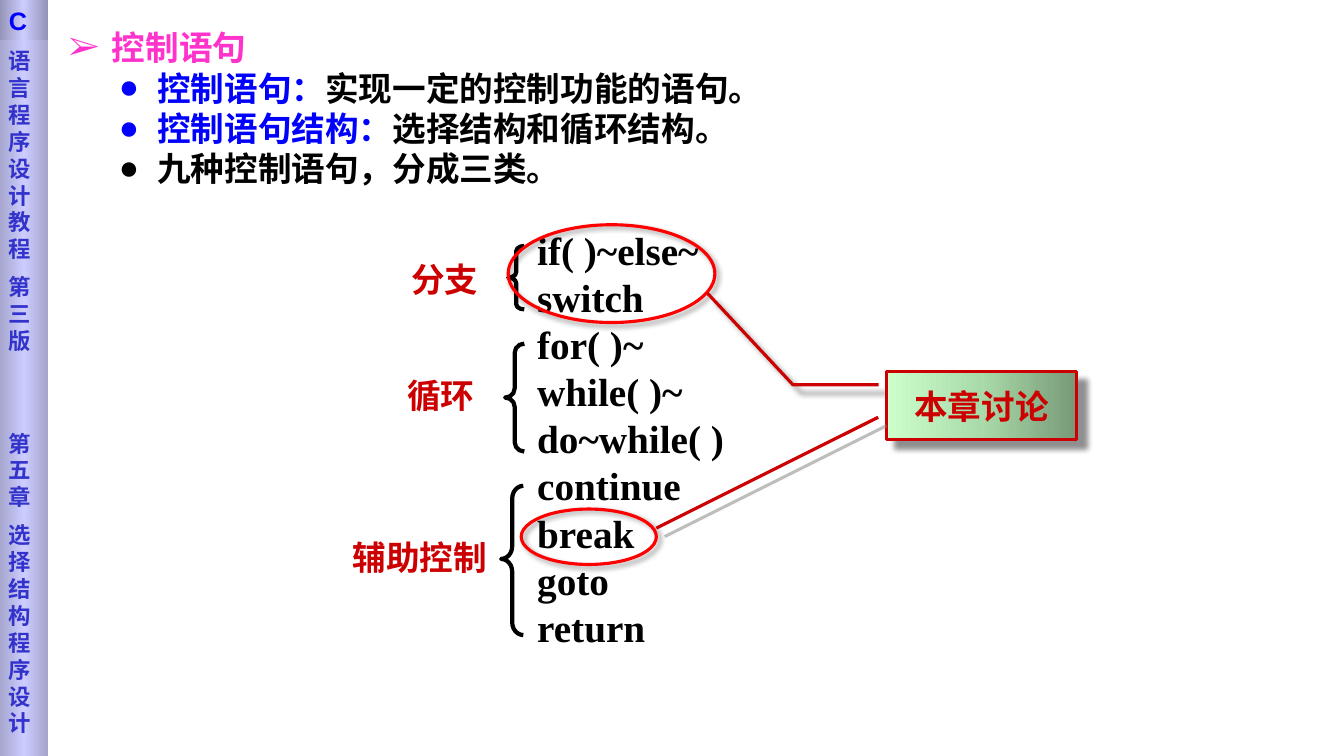
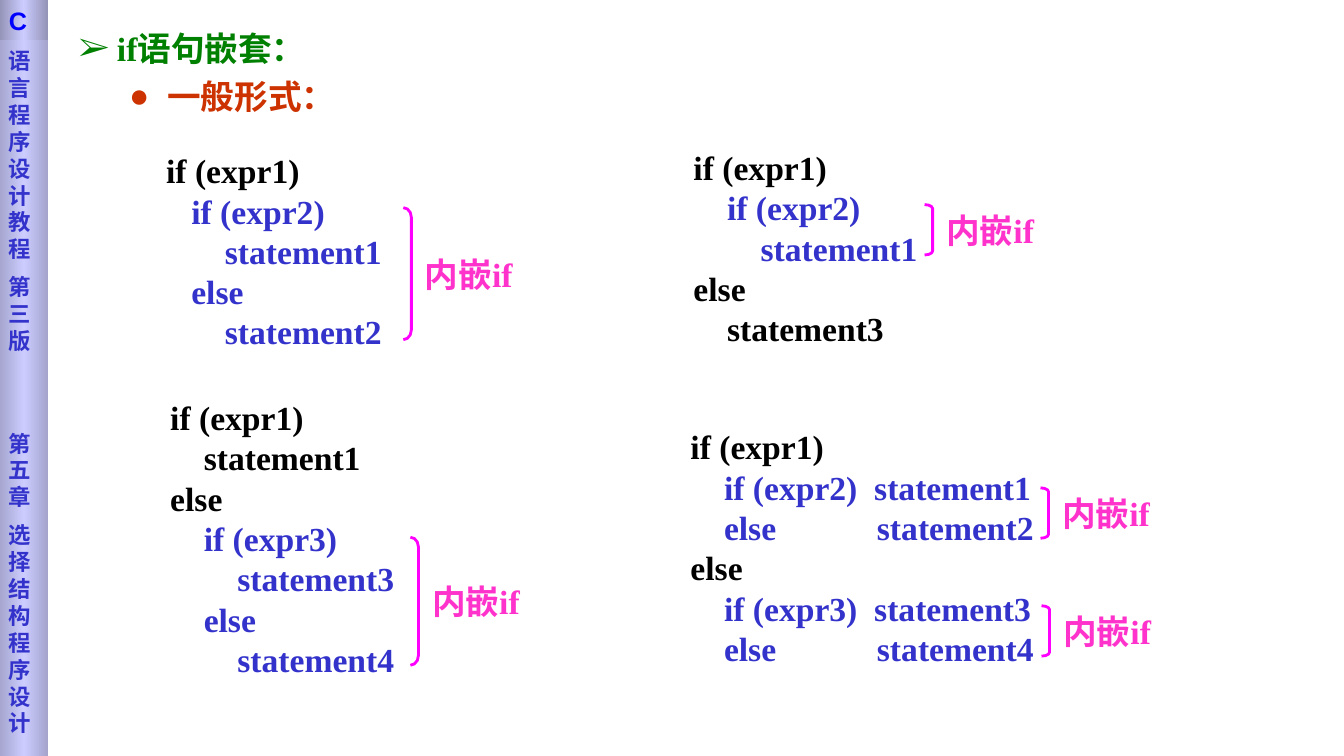
from lxml import etree
from pptx import Presentation
from pptx import util as u
from pptx.dml.color import RGBColor
from pptx.enum import shapes as kinds, text as styles
from pptx.oxml.ns import qn

BLACK = RGBColor(0x00, 0x00, 0x00)
GRAY = RGBColor(0x80, 0x80, 0x80)
BLUE = RGBColor(0x00, 0x00, 0xFF)
INDIGO = RGBColor(0x33, 0x33, 0xCC)
PINK = RGBColor(0xFF, 0x33, 0xCC)
MAGENTA = RGBColor(0xFF, 0x00, 0xFF)
RED = RGBColor(0xFF, 0x00, 0x00)
DARK_RED = RGBColor(0xCC, 0x00, 0x00)
RUST = RGBColor(0xCC, 0x33, 0x00)
GREEN = RGBColor(0x00, 0x80, 0x00)
LAVENDER = RGBColor(0xCC, 0xCC, 0xFF)
BAND_EDGE = RGBColor(0xA4, 0xA4, 0xCD)
CAP_EDGE = RGBColor(0x92, 0x92, 0xB6)
CALLOUT_COLORS = [RGBColor(0xCC, 0xFF, 0xCC), RGBColor(0xA9, 0xDA, 0xA9), RGBColor(0x77, 0x99, 0x77)]

SERIF, SANS, BAND_FONT, CJK = "Times New Roman", "Arial", "DejaVu Sans", "Noto Sans CJK SC"
WIDTH, HEIGHT = 13.33, 7.5
BAND_LEFT, BAND_WIDTH, CAP_HEIGHT = -0.01, 0.49, 0.4
LINE_RATIO = 1.2
SHAPE = kinds.MSO_SHAPE
BAND_TEXT = [("语言程序设计教程", 0), ("第三版", 8), ("第五章", 54), ("选择结构程序设计", 8)]

CONTROL = {
    "title": ("控制语句", PINK), "left": 0.58, "top": 0.22, "hang": 0.43, "step": 0.4,
    "list": [
        [("控制语句：", BLUE), ("实现一定的控制功能的语句。", BLACK)],
        [("控制语句结构：", BLUE), ("选择结构和循环结构。", BLACK)],
        [("九种控制语句，分成三类。", BLACK)],
    ],
}
KEYWORDS = ["if( )~else~", "switch", "for( )~", "while( )~", "do~while( )",
            "continue", "break", "goto", "return"]
GROUPS = [
    ("分支", (3.98, 2.52, 1, 0.51), (5.04, 2.44, 0.16, 0.63), (0.33, 0.5)),
    ("循环", (3.94, 3.67, 1, 0.51), (5.01, 3.41, 0.19, 1.07), (0.48, 0.5)),
    ("辅助控制", (3.4, 5.28, 1.65, 0.51), (4.97, 4.82, 0.22, 1.48), (0.57, 0.49)),
]
RINGS = [(5.04, 2.23, 2.05, 0.97), (5.17, 5.05, 1.34, 0.55)]
CALLOUT = ("本章讨论", (8.79, 3.69, 1.89, 0.67), (0.19, -0.04, 0.19, -0.49, -1.17, -0.94))
BREAK_LINE = (6.51, 5.24, 8.71, 4.14)

NESTING = {
    "title": ("if语句嵌套：", GREEN), "left": 0.68, "top": 0.23, "hang": 0.38, "step": 0.47,
    "list": [[("一般形式：", RUST)]],
}
CODE_BLOCKS = [
    {"at": (1.55, 1.44), "nested": range(1, 5), "brackets": [(4, 2.06, 1.31)],
     "lines": ["if (expr1)", "   if (expr2)", "       statement1", "   else", "       statement2"]},
    {"at": (6.78, 1.41), "nested": range(1, 3), "brackets": [(9.17, 2.03, 0.5)],
     "lines": ["if (expr1)", "    if (expr2)", "        statement1", "else", "    statement3"]},
    {"at": (1.59, 3.89), "nested": range(3, 7), "brackets": [(4.07, 5.33, 1.27)],
     "lines": ["if (expr1)", "    statement1", "else", "    if (expr3)", "        statement3",
               "    else", "        statement4"]},
    {"at": (6.75, 4.18), "nested": (1, 2, 4, 5), "brackets": [(10.32, 4.84, 0.5), (10.33, 6.01, 0.5)],
     "lines": ["if (expr1)", "    if (expr2)  statement1", "    else            statement2", "else",
               "    if (expr3)  statement3", "    else            statement4"]},
]


def inches(values):
    return [u.Inches(value) for value in values]


def apply(target, formats):
    for name, value in formats.items():
        setattr(target, name, value)


def add_bullet(paragraph, character, color, margin, hang):
    properties = paragraph._p.get_or_add_pPr()
    properties.set("marL", str(u.Inches(margin)))
    properties.set("indent", str(-u.Inches(hang)))
    holder = etree.SubElement(properties, qn("a:buClr"))
    etree.SubElement(holder, qn("a:srgbClr"), val=str(color))
    etree.SubElement(properties, qn("a:buFont"), typeface=SERIF)
    etree.SubElement(properties, qn("a:buChar"), char=character)


def write(shape, rows, size=24, font=SERIF, align=styles.PP_ALIGN.LEFT,
          anchor=styles.MSO_ANCHOR.TOP, bullet=None, spaces=None):
    frame = shape.text_frame
    apply(frame, {"word_wrap": True, "auto_size": styles.MSO_AUTO_SIZE.NONE, "vertical_anchor": anchor})
    for index, row in enumerate(rows):
        paragraph = frame.add_paragraph() if index else frame.paragraphs[0]
        apply(paragraph, {"alignment": align, "line_spacing": u.Pt(size * LINE_RATIO),
                          "space_before": u.Pt(spaces[index] if spaces else 0)})
        if bullet:
            character, margin, hang = bullet
            add_bullet(paragraph, character, row[0][1], margin, hang)
        for content, color in row:
            run = paragraph.add_run()
            run.text = content
            apply(run.font, {"size": u.Pt(size), "bold": True, "name": font})
            run.font.color.rgb = color
            etree.SubElement(run._r.get_or_add_rPr(), qn("a:ea"), typeface=CJK)


def add_text(slide, box, rows, **formats):
    shape = slide.shapes.add_textbox(*inches(box))
    write(shape, rows, **formats)


def add_shape(slide, kind, box, line=None, width=2.25, adjustments=()):
    shape = slide.shapes.add_shape(kind, *inches(box))
    shape.shadow.inherit = False
    shape.fill.background()
    for index, value in enumerate(adjustments):
        shape.adjustments[index] = value
    if line is None:
        shape.line.fill.background()
    else:
        shape.line.color.rgb = line
        shape.line.width = u.Pt(width)
    return shape


def fill_gradient(shape, colors):
    shape.fill.gradient()
    shape.fill.gradient_angle = 0
    stops = shape._element.spPr.find(".//" + qn("a:gsLst"))
    for stop in list(stops):
        stops.remove(stop)
    for index, color in enumerate(colors):
        position = 100000 * index // (len(colors) - 1)
        stop = etree.SubElement(stops, qn("a:gs"), pos=str(position))
        etree.SubElement(stop, qn("a:srgbClr"), val=str(color))


def cast_shadow(shape, color, alpha, blur, distance):
    properties = shape._element.spPr
    effects = properties.find(qn("a:effectLst"))
    if effects is None:
        effects = etree.SubElement(properties, qn("a:effectLst"))
    shadow = etree.SubElement(effects, qn("a:outerShdw"), blurRad=str(u.Pt(blur)),
                              dist=str(u.Pt(distance)), dir="2700000", algn="ctr", rotWithShape="0")
    tone = etree.SubElement(shadow, qn("a:srgbClr"), val=str(color))
    etree.SubElement(tone, qn("a:alpha"), val=str(alpha * 1000))


def add_band(slide):
    band = add_shape(slide, SHAPE.RECTANGLE, (BAND_LEFT, 0, BAND_WIDTH, HEIGHT))
    fill_gradient(band, [BAND_EDGE, LAVENDER, BAND_EDGE])
    band.text_frame.margin_top = u.Inches(0.47)
    write(band, [[(content, INDIGO)] for content, _ in BAND_TEXT], size=16, font=BAND_FONT,
          spaces=[space for _, space in BAND_TEXT])
    cap = add_shape(slide, SHAPE.RECTANGLE, (BAND_LEFT, 0, BAND_WIDTH, CAP_HEIGHT))
    fill_gradient(cap, [CAP_EDGE, LAVENDER, CAP_EDGE])
    write(cap, [[("C", BLUE)]], size=18, font=SANS, anchor=styles.MSO_ANCHOR.MIDDLE)


def add_slide(presentation, content):
    slide = presentation.slides.add_slide(presentation.slide_layouts[1])
    title, body = slide.placeholders
    left, top, step = content["left"], content["top"], content["step"]
    width = WIDTH - 2 * left
    places = [(title, top, 0.5), (body, top + step, 0.1 + 0.4 * len(content["list"]))]
    for placeholder, place, height in places:
        apply(placeholder, dict(zip(("left", "top", "width", "height"),
                                    inches((left, place, width, height)))))
    write(title, [[content["title"]]], bullet=("➢", content["hang"], content["hang"]))
    write(body, content["list"], bullet=("●", 0.88, 0.38))
    add_band(slide)
    return slide


def build_control(presentation):
    slide = add_slide(presentation, CONTROL)
    add_text(slide, (5.23, 2.2, 2.5, 4.3), [[(word, BLACK)] for word in KEYWORDS], size=28)
    for label, label_box, brace_box, adjustments in GROUPS:
        add_text(slide, label_box, [[(label, DARK_RED)]])
        add_shape(slide, SHAPE.LEFT_BRACE, brace_box, BLACK, 3, adjustments)
    for box in RINGS:
        cast_shadow(add_shape(slide, SHAPE.OVAL, box, RED), BLACK, 40, 4, 3)
    label, box, adjustments = CALLOUT
    callout = add_shape(slide, SHAPE.LINE_CALLOUT_2, box, DARK_RED, adjustments=adjustments)
    fill_gradient(callout, CALLOUT_COLORS)
    cast_shadow(callout, BLACK, 43, 4, 8.4)
    write(callout, [[(label, DARK_RED)]], align=styles.PP_ALIGN.CENTER, anchor=styles.MSO_ANCHOR.MIDDLE)
    connector = slide.shapes.add_connector(kinds.MSO_CONNECTOR.STRAIGHT, *inches(BREAK_LINE))
    connector.line.color.rgb = DARK_RED
    connector.line.width = u.Pt(2.25)
    cast_shadow(connector, GRAY, 50, 0, 8.5)


def build_nesting(presentation):
    slide = add_slide(presentation, NESTING)
    for block in CODE_BLOCKS:
        lines = block["lines"]
        rows = [[(line, INDIGO if index in block["nested"] else BLACK)] for index, line in enumerate(lines)]
        add_text(slide, (*block["at"], 4, 0.1 + 0.4 * len(lines)), rows)
        for left, top, height in block["brackets"]:
            add_shape(slide, SHAPE.RIGHT_BRACKET, (left, top, 0.08, height), MAGENTA, 2,
                      [0.5 if height < 1 else 1.2])
            add_text(slide, (left + 0.11, top + height / 2 - 0.45, 1.08, 0.9), [[("内嵌if", PINK)]],
                     align=styles.PP_ALIGN.CENTER, anchor=styles.MSO_ANCHOR.MIDDLE)


def main():
    presentation = Presentation()
    apply(presentation, {"slide_width": u.Inches(WIDTH), "slide_height": u.Inches(HEIGHT)})
    build_control(presentation)
    build_nesting(presentation)
    presentation.save("out.pptx")


if __name__ == "__main__":
    main()
